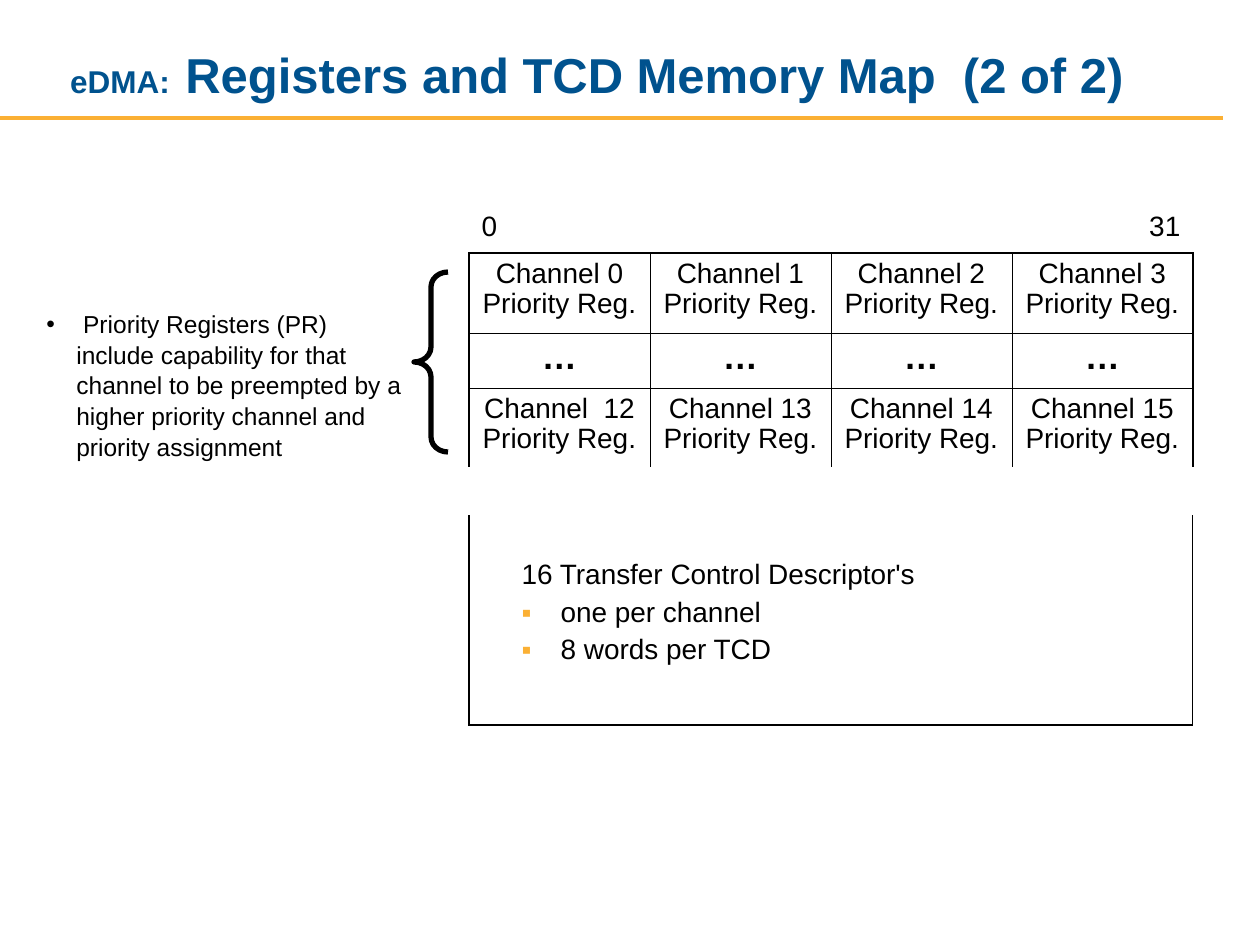
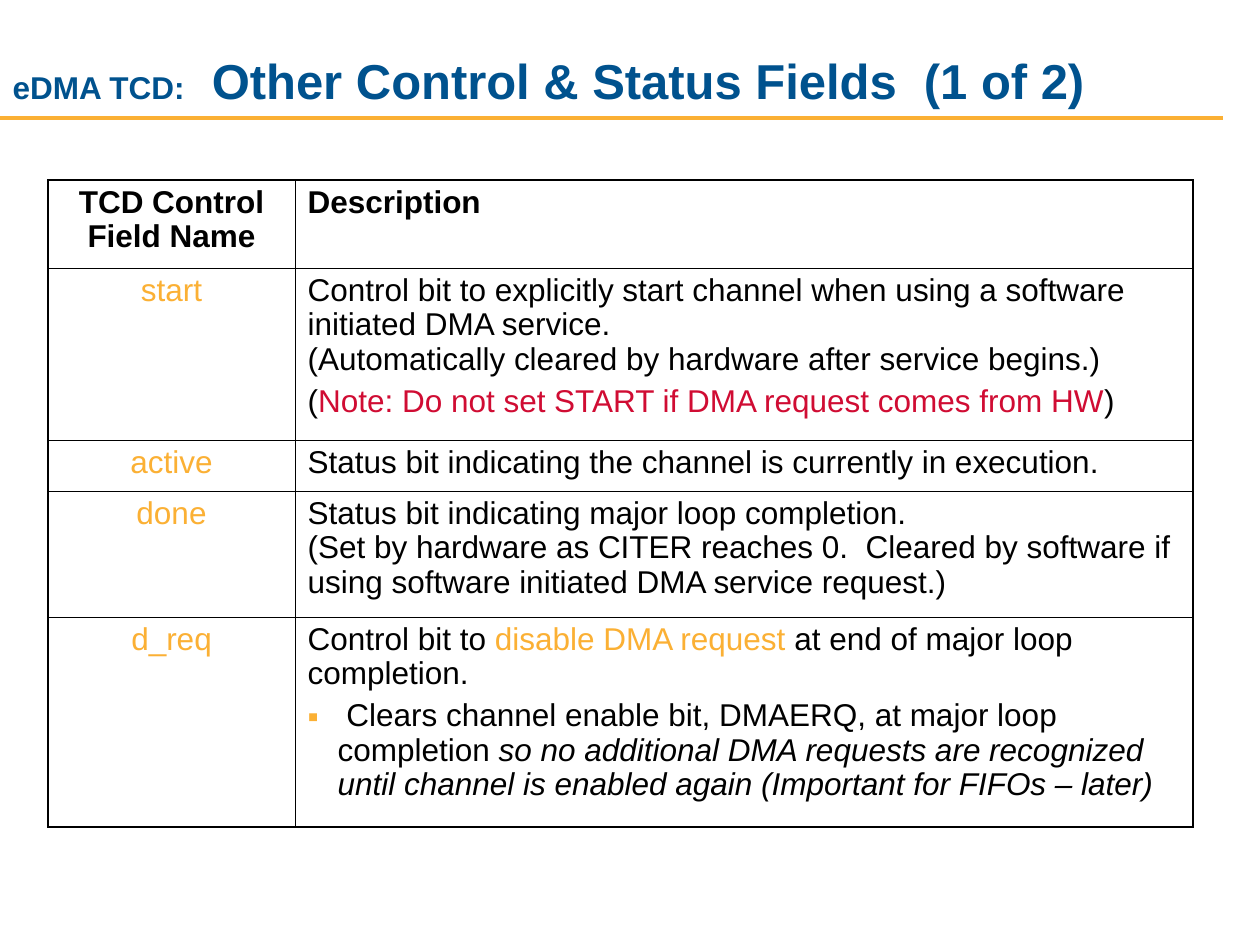
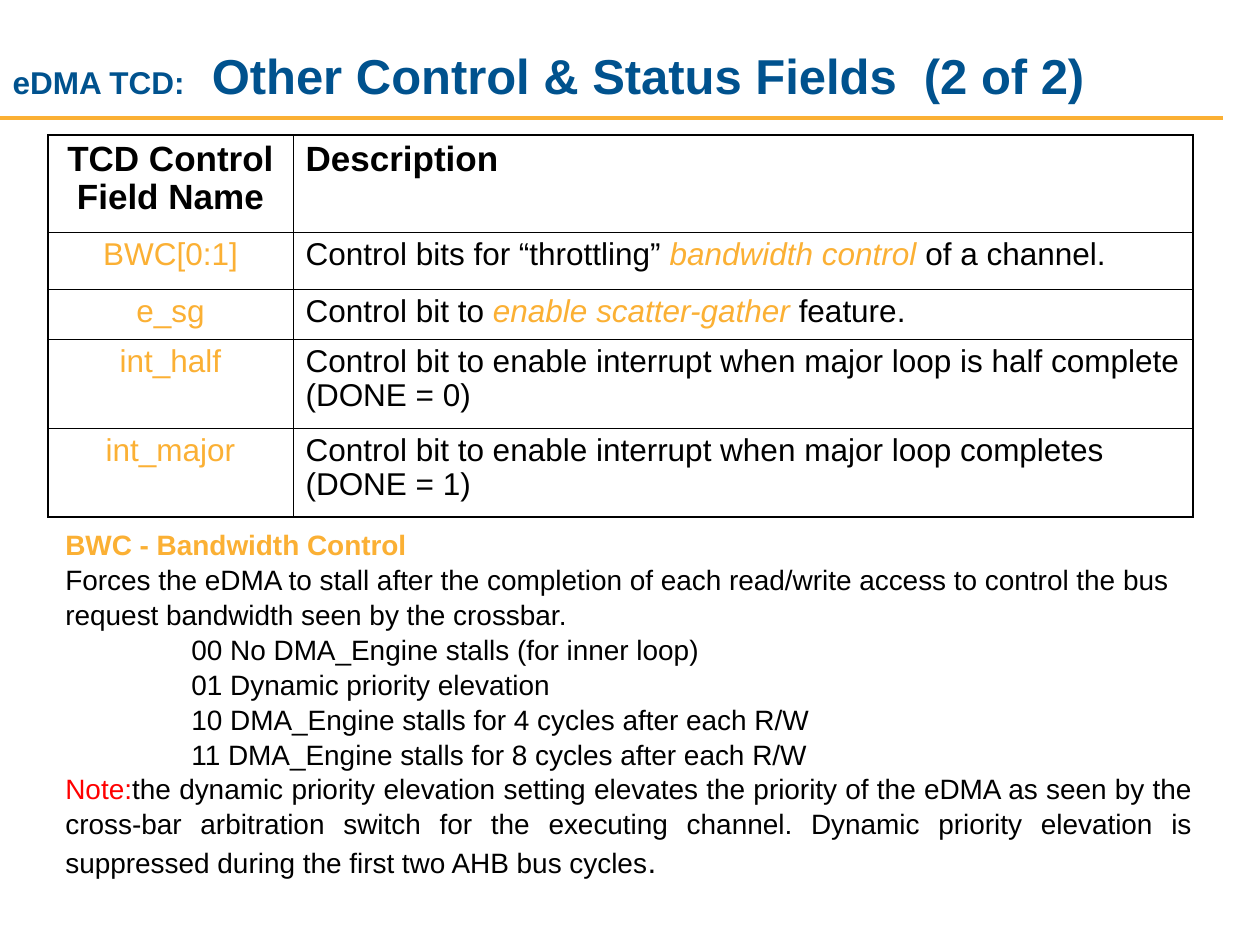
import lxml.etree
import pptx
import pptx.dml.color
import pptx.enum.shapes
import pptx.enum.text
import pptx.oxml.ns
import pptx.util

PX = 914400 / 126
FONT = "Arial"
BLUE = pptx.dml.color.RGBColor(0x00, 0x52, 0x8E)
AMBER = pptx.dml.color.RGBColor(0xFB, 0xB0, 0x34)
CRIMSON = pptx.dml.color.RGBColor(0xD0, 0x0C, 0x33)
RED = pptx.dml.color.RGBColor(0xFF, 0x00, 0x00)
BLACK = pptx.dml.color.RGBColor(0x00, 0x00, 0x00)
THICK, THIN = 1.08, 0.45
ALIGN = pptx.enum.text.PP_ALIGN

PRIORITY_NOTE = (
    " Priority Registers (PR) include capability for that channel to be preempted "
    "by a higher priority channel and priority assignment"
)
FIELDS_ONE = [
    ("start", [
        ["Control bit to explicitly start channel when using a software initiated DMA service.\n"
         "(Automatically cleared by hardware after service begins.)"],
        ["(", ("Note: Do not set START if DMA request comes from HW", {"color": CRIMSON}), ")"],
    ]),
    ("active", [["Status bit indicating the channel is currently in execution."]]),
    ("done", [
        ["Status bit indicating major loop completion.\n"
         "(Set by hardware as CITER reaches 0.  Cleared by software if using software "
         "initiated DMA service request.)"],
    ]),
    ("d_req", [
        ["Control bit to ", ("disable DMA request", {"color": AMBER}),
         " at end of major loop completion."],
        [" Clears channel enable bit, DMAERQ, at major loop completion ",
         ("so no additional DMA requests are recognized until channel is enabled again "
          "(Important for FIFOs – later)", {"italic": True})],
    ]),
]
FIELDS_TWO = [
    ("BWC[0:1]", [["Control bits for “throttling” ",
                   ("bandwidth control", {"color": AMBER, "italic": True}), " of a channel."]]),
    ("e_sg", [["Control bit to ",
               ("enable scatter-gather", {"color": AMBER, "italic": True}), " feature."]]),
    ("int_half", [["Control bit to enable interrupt when major loop is half complete (DONE = 0)"]]),
    ("int_major", [["Control bit to enable interrupt when major loop completes (DONE = 1)"]]),
]
STALL_CODES = [
    "00 No DMA_Engine stalls (for inner loop)",
    "01 Dynamic priority elevation",
    "10 DMA_Engine stalls for 4 cycles after each R/W",
    "11 DMA_Engine stalls for 8 cycles after each R/W",
]


def px(length):
    return pptx.util.Emu(round(length * PX))


def add_xml(parent, tag, **attributes):
    return lxml.etree.SubElement(parent, pptx.oxml.ns.qn(tag), attributes)


def write(para, text, size=18, color=BLACK, bold=False, italic=False):
    for index, line in enumerate(text.split("\n")):
        if index:
            para.add_line_break()
        span = para.add_run()
        span.text = line
        span.font.name = FONT
        span.font.size = pptx.util.Pt(size)
        span.font.color.rgb = color
        span.font.bold = bold
        span.font.italic = italic


def add_para(frame, spans, align=ALIGN.LEFT, before=0, spacing=1.0, indent=0, hanging=0,
             bullet=None, bullet_color=AMBER, **text_format):
    para = frame.paragraphs[0]
    if para.runs:
        para = frame.add_paragraph()
    para.alignment = align
    para.space_before = pptx.util.Pt(before)
    para.line_spacing = spacing
    properties = para._p.get_or_add_pPr()
    properties.set("marL", str(px(indent)))
    properties.set("indent", str(px(-hanging)))
    if bullet:
        tint = add_xml(properties, "a:buClr")
        add_xml(tint, "a:srgbClr", val=str(bullet_color))
        add_xml(properties, "a:buFont", typeface=FONT)
        add_xml(properties, "a:buChar", char=bullet)
    for span in spans:
        text, changes = (span, {}) if isinstance(span, str) else span
        write(para, text, **{**text_format, **changes})


def add_rule(page, layout):
    rule = page.shapes.add_connector(
        pptx.enum.shapes.MSO_CONNECTOR.STRAIGHT, px(0), px(118), px(1223), px(118))
    rule.line.color.rgb = AMBER
    rule.line.width = pptx.util.Pt(2.25)
    add_xml(rule._element.spPr, "a:effectLst")
    layout.shapes._spTree.append(rule._element)


def place(shape, box):
    shape.left, shape.top, shape.width, shape.height = map(px, box)


def add_page(deck, box, spans, align=ALIGN.LEFT):
    page = deck.slides.add_slide(deck.slide_layouts[5])
    title = page.shapes.title
    place(title, box)
    frame = title.text_frame
    frame.word_wrap = True
    frame.auto_size = pptx.enum.text.MSO_AUTO_SIZE.NONE
    frame.vertical_anchor = pptx.enum.text.MSO_ANCHOR.BOTTOM
    add_para(frame, spans, align=align, size=28, color=BLUE, bold=True)
    return page


def add_text_box(page, box):
    frame = page.shapes.add_textbox(*map(px, box)).text_frame
    frame.word_wrap = True
    return frame


def add_table(page, left, top, widths, heights):
    table = page.shapes.add_table(
        len(heights), len(widths), px(left), px(top), px(sum(widths)), px(sum(heights))).table
    table.first_row = False
    table.horz_banding = False
    for column, width in zip(table.columns, widths):
        column.width = px(width)
    for row, height in zip(table.rows, heights):
        row.height = px(height)
    return table


def set_borders(cell, **widths):
    properties = cell._tc.get_or_add_tcPr()
    for side in "LRTB":
        if side in widths:
            line = add_xml(properties, "a:ln" + side, w=str(pptx.util.Pt(widths[side])))
            add_xml(add_xml(line, "a:solidFill"), "a:srgbClr", val=str(BLACK))
    cell.fill.background()


def frame_rows(table, rows, top=THICK, bottom=THICK):
    last_column = len(table.columns) - 1
    for row in rows:
        for column in range(last_column + 1):
            set_borders(
                table.cell(row, column),
                L=THICK if column == 0 else THIN,
                R=THICK if column == last_column else THIN,
                T=top if row == rows[0] else THIN,
                B=bottom if row == rows[-1] else THIN)


def fill_cell(cell, spans, **para_format):
    add_para(cell.text_frame, spans, **{"spacing": 0.97, "before": 4, **para_format})


def add_memory_map(page, left, top):
    heights = [49, 47, 80, 55, 80, 48, 209]
    table = add_table(page, left, top, [181] * 4, heights)
    for row in (0, 1, 5):
        for column in range(4):
            cell = table.cell(row, column)
            set_borders(cell)
            cell.margin_top = cell.margin_bottom = 0
    for row in (0, 6):
        table.cell(row, 0).merge(table.cell(row, 3))
    frame_rows(table, [2, 3, 4], bottom=THIN)
    frame_rows(table, [6], top=THIN)

    for column, bit, align in ((0, "0", ALIGN.LEFT), (3, "31", ALIGN.RIGHT)):
        cell = table.cell(1, column)
        cell.margin_top = px(6)
        fill_cell(cell, [bit], align=align, size=16)
    for column in range(4):
        gap = "  " if column == 0 else " "
        fill_cell(table.cell(2, column), [f"Channel {column} Priority Reg."],
                  align=ALIGN.CENTER, size=16)
        fill_cell(table.cell(3, column), ["…"], align=ALIGN.CENTER, before=5, size=20, bold=True)
        fill_cell(table.cell(4, column), [f"Channel{gap}{column + 12} Priority Reg."],
                  align=ALIGN.CENTER, size=16)

    descriptors = table.cell(6, 0)
    descriptors.margin_top = px(45)
    for text, bullet in (("16 Transfer Control Descriptor's", None),
                         ("one per channel", "▪"), ("8 words per TCD", "▪")):
        fill_cell(descriptors, [text], indent=79, hanging=39, bullet=bullet, size=16)


def add_priority_note(page, box):
    left, top, width, height = box
    brace = page.shapes.add_shape(
        pptx.enum.shapes.MSO_SHAPE.LEFT_BRACE,
        px(left + width), px(top - 30), px(34), px(180))
    brace.adjustments[0] = 0.44
    brace.shadow.inherit = False
    brace.fill.background()
    brace.line.color.rgb = BLACK
    brace.line.width = pptx.util.Pt(3)
    add_para(add_text_box(page, box), [PRIORITY_NOTE], spacing=1.04, indent=30, hanging=30,
             bullet="•", bullet_color=BLACK, size=14)


def add_field_table(page, left, top, widths, heights, fields, header_size):
    table = add_table(page, left, top, widths, heights)
    frame_rows(table, range(len(heights)))
    header = {"size": header_size, "bold": True, "before": header_size / 4}
    fill_cell(table.cell(0, 0), ["TCD Control Field Name"], align=ALIGN.CENTER, **header)
    fill_cell(table.cell(0, 1), ["Description"], **header)
    for row, (name, description) in enumerate(fields, 1):
        fill_cell(table.cell(row, 0), [name], align=ALIGN.CENTER, before=4.5, color=AMBER)
        for spans in description:
            bulleted = spans[0].startswith(" ")
            fill_cell(table.cell(row, 1), spans, before=4.5, bullet="▪" if bulleted else None,
                      indent=30 * bulleted, hanging=30 * bulleted)


def add_bandwidth_notes(page, box):
    frame = add_text_box(page, box)
    body = {"spacing": 1.04, "size": 16}
    add_para(frame, ["BWC - Bandwidth Control"], color=AMBER, bold=True, **body)
    add_para(frame, ["Forces the eDMA to stall after the completion of each read/write access "
                     "to control the bus request bandwidth seen by the crossbar."], **body)
    for code in STALL_CODES:
        add_para(frame, [code], indent=126, **body)
    add_para(frame, [
        ("Note:", {"color": RED}),
        "the dynamic priority elevation setting elevates the priority of the eDMA as seen by "
        "the cross-bar arbitration switch for the executing channel. Dynamic priority "
        "elevation is suppressed during the first two AHB bus cycles",
        (".", {"size": 18})], align=ALIGN.JUSTIFY, **body)


def main():
    deck = pptx.Presentation()
    deck.slide_width, deck.slide_height = px(1260), px(945)

    page = add_page(
        deck, (2, 16, 1134, 95),
        [("eDMA:", {"size": 18}), (" ", {"size": 32}), "Registers and TCD Memory Map  (2 of 2)"],
        align=ALIGN.RIGHT)
    add_rule(page, deck.slide_layouts[5])
    add_memory_map(page, 469, 157)
    add_priority_note(page, (34, 302, 380, 131))

    field_title = [("eDMA TCD:", {"size": 18}), "  Other Control & Status Fields  "]
    page = add_page(deck, (0, 21, 1116, 95), field_title + ["(1 of 2)"])
    add_field_table(page, 48, 180, [247, 898], [88, 172, 51, 126, 210], FIELDS_ONE, 18)

    page = add_page(deck, (0, 26, 1113, 85), field_title + ["(2 of 2)"])
    add_field_table(page, 48, 135, [245, 900], [97, 57, 50, 89, 89], FIELDS_TWO, 20)
    add_bandwidth_notes(page, (53, 520, 1152, 353))

    deck.save("out.pptx")


if __name__ == "__main__":
    main()
